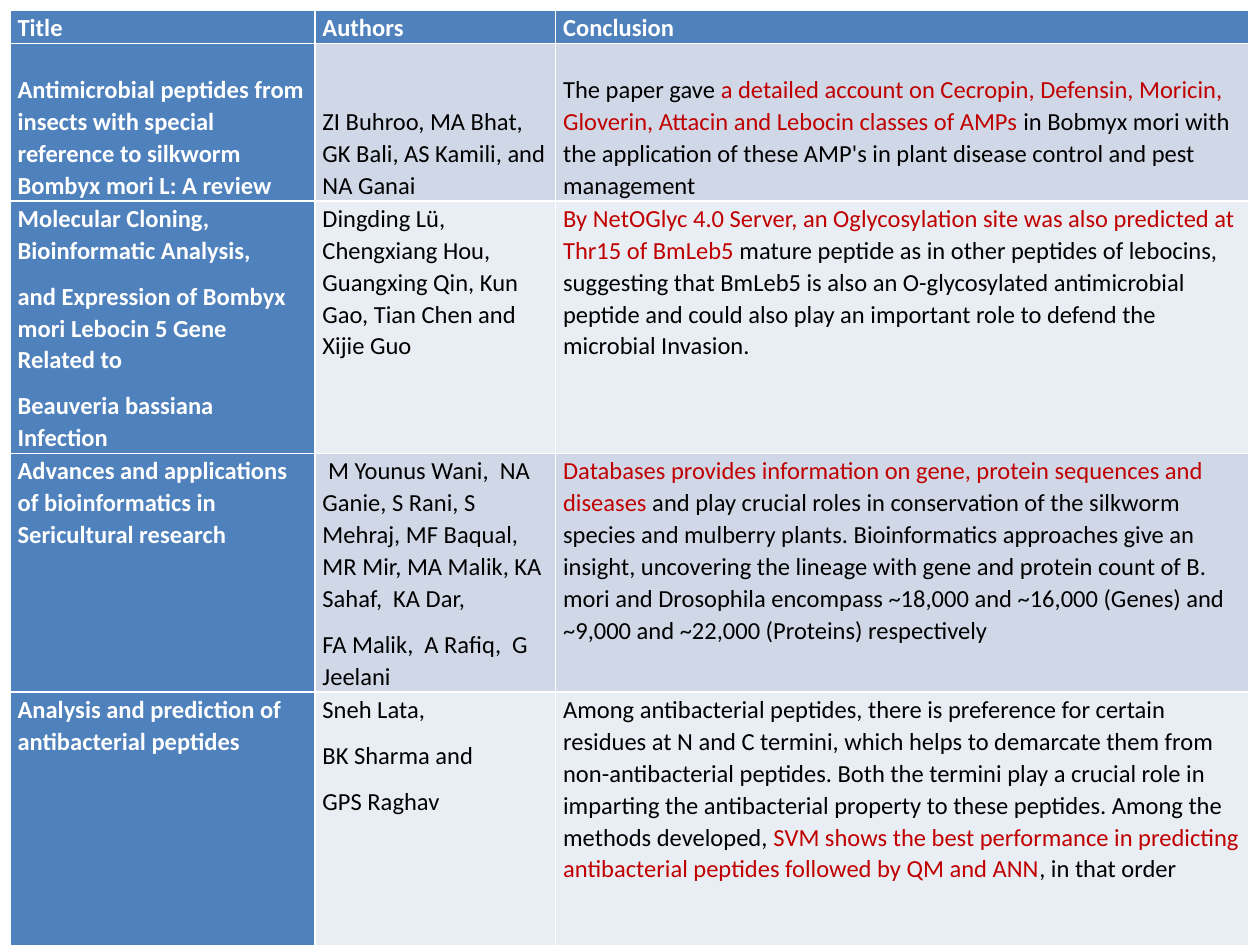
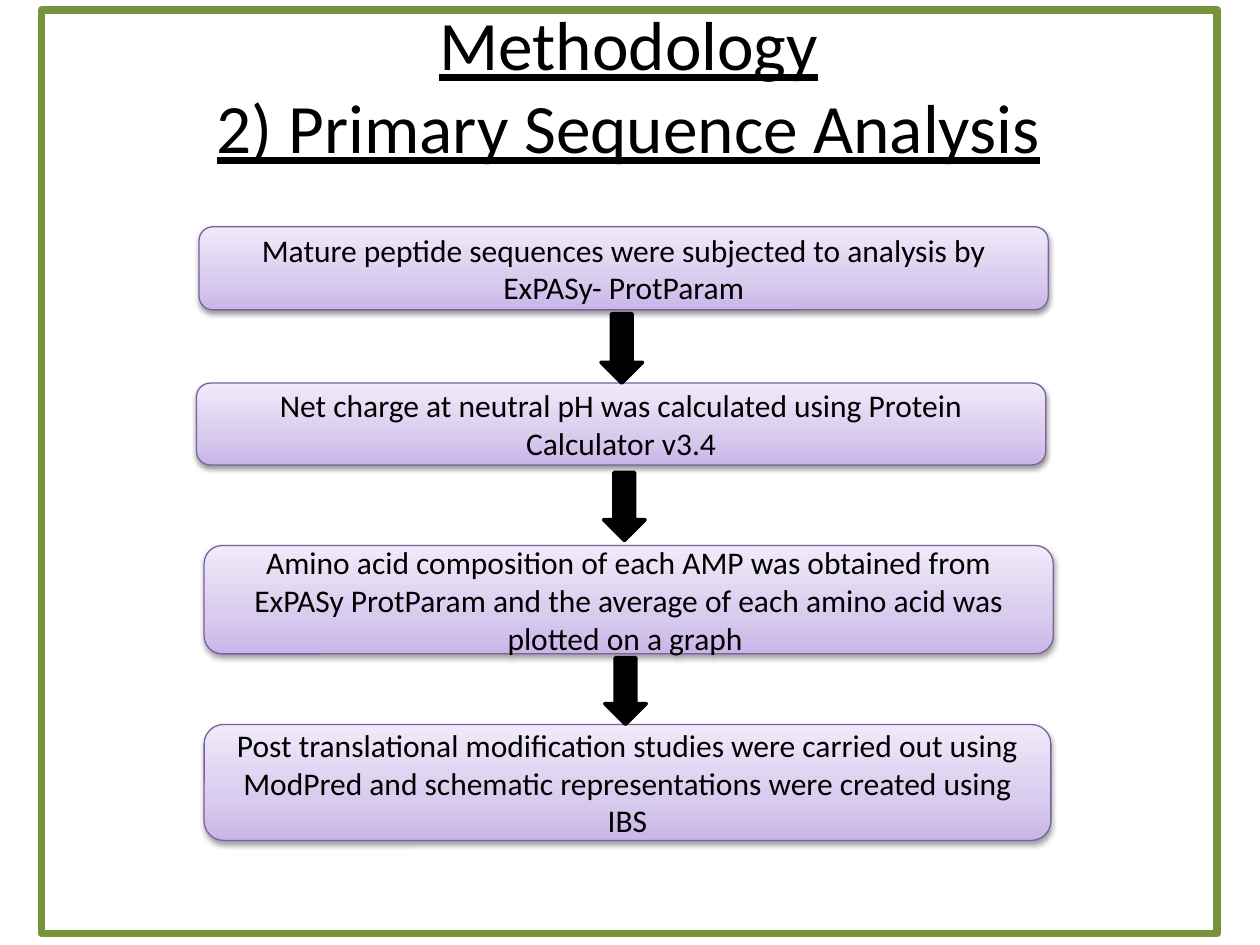
import copy

import lxml.etree
import pptx
import pptx.dml.color
import pptx.enum.shapes
import pptx.enum.text
import pptx.oxml
import pptx.oxml.ns
import pptx.util

Inches = pptx.util.Inches
SHAPES = pptx.enum.shapes.MSO_SHAPE
ALIGN = pptx.enum.text.PP_ALIGN
ANCHOR = pptx.enum.text.MSO_ANCHOR

FONT = "Calibri"
COLOURS = {
    "text": "000000",
    "white": "FFFFFF",
    "finding": "C00000",
    "heading": "4F81BD",
    "odd_row": "D0D8E8",
    "even_row": "E9EDF4",
    "step_line": "7D60A0",
    "frame": "77933C",
    "arrow": "000000",
}
STEP_GRADIENT = [(0, "C9B5E8"), (0.35, "D8CBEE"), (1, "F0EAF9")]

COLUMN_WIDTHS = [2.42, 1.91, 5.5]
ROW_HEIGHTS = [0.24, 1.25, 1.88, 1.84, 2.12]
HEADINGS = ["Title", "Authors", "Conclusion"]
# Each paper: title paragraphs, author paragraphs, conclusion spans with their colour
PAPERS = [
    (
        ["Antimicrobial peptides from insects with special reference to silkworm "
         "Bombyx mori L: A review"],
        ["ZI Buhroo, MA Bhat, GK Bali, AS Kamili, and NA Ganai"],
        [("The paper gave ", "text"),
         ("a detailed account on Cecropin, Defensin, Moricin, Gloverin, Attacin and "
          "Lebocin classes of AMPs ", "finding"),
         ("in Bobmyx mori with the application of these AMP's in plant disease control "
          "and pest management", "text")],
    ),
    (
        ["Molecular Cloning, Bioinformatic Analysis,",
         "and Expression of Bombyx mori Lebocin 5 Gene Related to",
         "Beauveria bassiana Infection"],
        ["Dingding Lü, Chengxiang Hou, Guangxing Qin, Kun Gao, Tian Chen and Xijie Guo"],
        [("By NetOGlyc 4.0 Server, an Oglycosylation site was also predicted at Thr15 "
          "of BmLeb5", "finding"),
         (" mature peptide as in other peptides of lebocins, suggesting that BmLeb5 is "
          "also an O-glycosylated antimicrobial peptide and could also play an important "
          "role to defend the microbial Invasion.", "text")],
    ),
    (
        ["Advances and applications of bioinformatics in Sericultural research"],
        [" M Younus Wani,  NA Ganie, S Rani, S Mehraj, MF Baqual, MR Mir, MA Malik, "
         "KA Sahaf,  KA Dar,",
         "FA Malik,  A Rafiq,  G Jeelani"],
        [("Databases provides information on gene, protein sequences and diseases",
          "finding"),
         (" and play crucial roles in conservation of the silkworm species and mulberry "
          "plants. Bioinformatics approaches give an insight, uncovering the lineage with "
          "gene and protein count of B. mori and Drosophila encompass ~18,000 and ~16,000 "
          "(Genes) and ~9,000 and ~22,000 (Proteins) respectively", "text")],
    ),
    (
        ["Analysis and prediction of antibacterial peptides"],
        ["Sneh Lata,", "BK Sharma and", "GPS Raghav"],
        [("Among antibacterial peptides, there is preference for certain residues at N "
          "and C termini, which helps to demarcate them from non-antibacterial peptides. "
          "Both the termini play a crucial role in imparting the antibacterial property "
          "to these peptides. Among the methods developed, ", "text"),
         ("SVM shows the best performance in predicting antibacterial peptides followed "
          "by QM and ANN", "finding"),
         (", in that order", "text")],
    ),
]

# Each step: left, top, width, height, text
STEPS = [
    (1.58, 1.8, 6.74, 0.66,
     "Mature peptide sequences were subjected to analysis by ExPASy- ProtParam"),
    (1.56, 3.04, 6.74, 0.65,
     "Net charge at neutral pH was calculated using Protein Calculator v3.4"),
    (1.62, 4.33, 6.74, 0.86,
     "Amino acid composition of each AMP was obtained from ExPASy ProtParam and the "
     "average of each amino acid was plotted on a graph "),
    (1.62, 5.75, 6.72, 0.92,
     "Post translational modification studies were carried out using ModPred and "
     "schematic representations were created using IBS"),
]
ARROWS = [(4.77, 2.49, 0.33, 0.55), (4.79, 3.75, 0.33, 0.54), (4.8, 5.22, 0.33, 0.53)]


def colour(name):
    return pptx.dml.color.RGBColor.from_string(COLOURS[name])


def style_font(font, size, colour_name, bold=False):
    font.name = FONT
    font.size = pptx.util.Pt(size)
    font.bold = bold
    font.color.rgb = colour(colour_name)


def fill_cell(cell, paragraphs, fill_name, bold=False, anchor=ANCHOR.TOP):
    """Write paragraphs, each a list of (text, colour name) spans, into a cell."""
    cell.margin_left = cell.margin_right = Inches(0.06)
    cell.margin_top, cell.margin_bottom = Inches(0.01), 0
    cell.vertical_anchor = anchor
    cell.fill.solid()
    cell.fill.fore_color.rgb = colour(fill_name)
    frame = cell.text_frame
    for index, spans in enumerate(paragraphs):
        para = frame.add_paragraph() if index else frame.paragraphs[0]
        para.line_spacing = 1.07
        para.space_after = pptx.util.Pt(8)
        for text, colour_name in spans:
            span = para.add_run()
            span.text = text
            style_font(span.font, 14, colour_name, bold)


def plain(lines, colour_name):
    return [[(line, colour_name)] for line in lines]


def add_paper_table(page):
    table = page.shapes.add_table(
        len(ROW_HEIGHTS), len(COLUMN_WIDTHS),
        Inches(0.08), Inches(0.08), Inches(9.83), Inches(7.33)).table
    table.first_col = True
    for column, width in zip(table.columns, COLUMN_WIDTHS):
        column.width = Inches(width)
    for row, height in zip(table.rows, ROW_HEIGHTS):
        row.height = Inches(height)
    for index, heading in enumerate(HEADINGS):
        fill_cell(table.cell(0, index), plain([heading], "white"), "heading", bold=True)
    for row, (title, authors, conclusion) in enumerate(PAPERS, start=1):
        band = "odd_row" if row % 2 else "even_row"
        anchor = ANCHOR.BOTTOM if row == 1 else ANCHOR.TOP
        fill_cell(table.cell(row, 0), plain(title, "white"), "heading", True, anchor)
        fill_cell(table.cell(row, 1), plain(authors, "text"), band, anchor=anchor)
        fill_cell(table.cell(row, 2), [conclusion], band, anchor=anchor)


def add_outlined_shape(page, kind, place, line_name, line_width):
    shape = page.shapes.add_shape(kind, *map(Inches, place))
    shape.shadow.inherit = False
    shape.line.color.rgb = colour(line_name)
    shape.line.width = pptx.util.Pt(line_width)
    return shape


def set_step_gradient(shape):
    shape.fill.gradient()
    shape.fill.gradient_angle = 90
    stop_list = shape._element.spPr.find(".//" + pptx.oxml.ns.qn("a:gsLst"))
    stop_list.append(copy.deepcopy(stop_list[0]))
    for stop, (position, value) in zip(shape.fill.gradient_stops, STEP_GRADIENT):
        stop.position = position
        stop.color.rgb = pptx.dml.color.RGBColor.from_string(value)


def add_soft_shadow(shape):
    effects = shape._element.spPr.find(pptx.oxml.ns.qn("a:effectLst"))
    shadow = lxml.etree.SubElement(
        effects, pptx.oxml.ns.qn("a:outerShdw"),
        blurRad=str(pptx.util.Pt(3.1)), dist=str(pptx.util.Pt(1.6)),
        dir="5400000", rotWithShape="0")
    shade = lxml.etree.SubElement(shadow, pptx.oxml.ns.qn("a:srgbClr"), val=COLOURS["text"])
    lxml.etree.SubElement(shade, pptx.oxml.ns.qn("a:alpha"), val="38000")


def add_step(page, place, text):
    box = add_outlined_shape(page, SHAPES.ROUNDED_RECTANGLE, place, "step_line", 0.75)
    set_step_gradient(box)
    add_soft_shadow(box)
    frame = box.text_frame
    frame.word_wrap = True
    frame.vertical_anchor = ANCHOR.MIDDLE
    frame.text = text
    para = frame.paragraphs[0]
    para.alignment = ALIGN.CENTER
    style_font(para.runs[0].font, 18, "text")


def add_down_arrow(page, place):
    arrow = add_outlined_shape(page, SHAPES.DOWN_ARROW, place, "arrow", 2)
    arrow.fill.solid()
    arrow.fill.fore_color.rgb = colour("arrow")


def add_frame(page):
    frame = add_outlined_shape(
        page, SHAPES.RECTANGLE, (0.33, 0.08, 9.33, 7.33), "frame", 4.5)
    frame.fill.background()


def set_title(page, text):
    title = page.shapes.title
    title.left, title.top, title.width, title.height = map(Inches, (0.49, 0.17, 9, 1))
    frame = title.text_frame
    frame.auto_size = pptx.enum.text.MSO_AUTO_SIZE.NONE
    frame.vertical_anchor = ANCHOR.MIDDLE
    para = frame.paragraphs[0]
    para.text = text
    para.alignment = ALIGN.CENTER
    for span in para.runs:
        style_font(span.font, 39.6, "text")
        span.font.underline = True


def build_literature_slide(deck):
    page = deck.slides.add_slide(deck.slide_layouts.get_by_name("Blank"))
    add_paper_table(page)


def build_methodology_slide(deck):
    page = deck.slides.add_slide(deck.slide_layouts.get_by_name("Title Only"))
    set_title(page, "Methodology\n2) Primary Sequence Analysis")
    for *place, text in STEPS:
        add_step(page, place, text)
    for place in ARROWS:
        add_down_arrow(page, place)
    add_frame(page)


def main():
    deck = pptx.Presentation()
    deck.slide_width, deck.slide_height = Inches(10), Inches(7.5)
    build_literature_slide(deck)
    build_methodology_slide(deck)
    deck.save("out.pptx")


if __name__ == "__main__":
    main()
